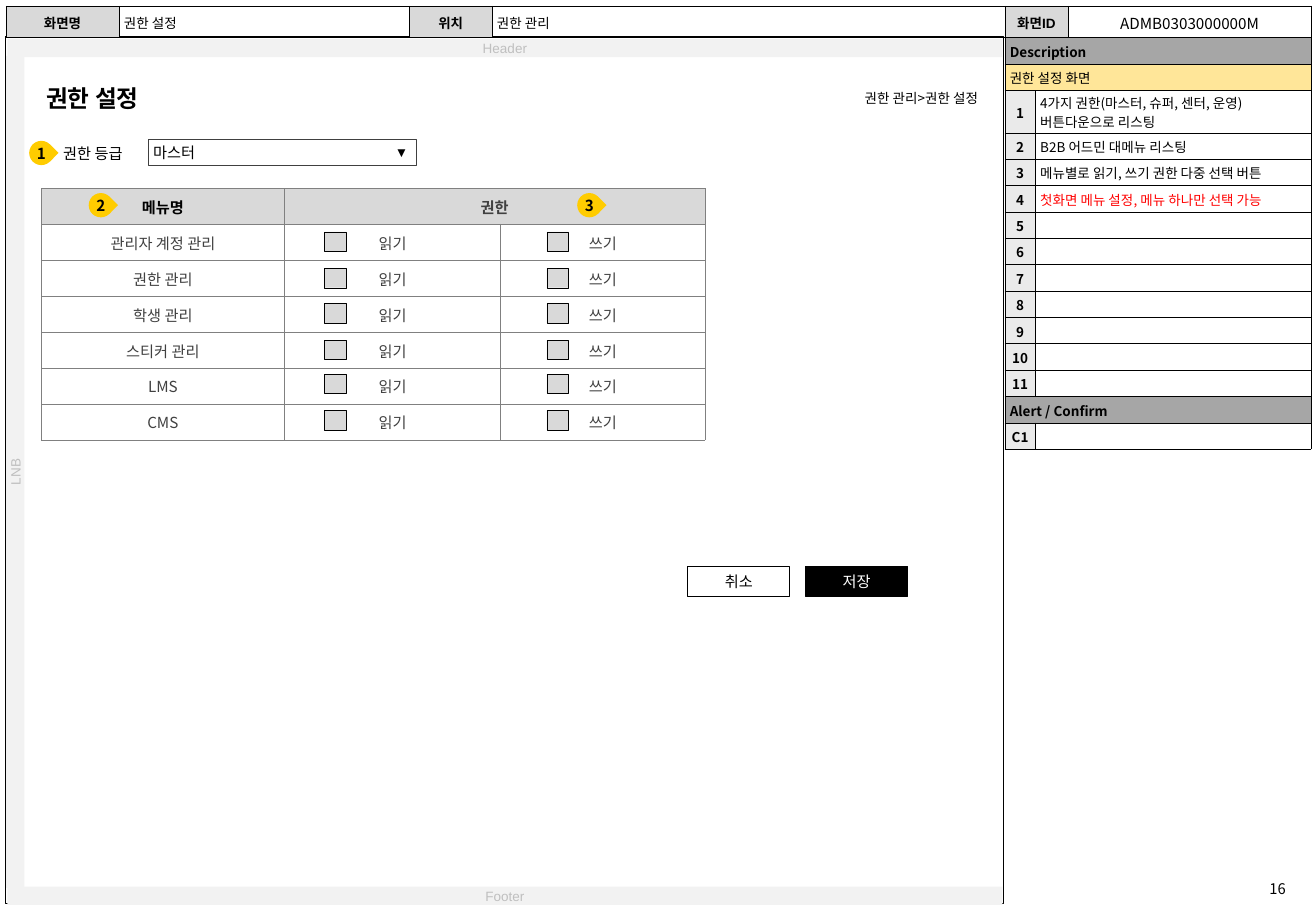
"""Builds the permission settings screen specification slide."""
from lxml.etree import SubElement
from pptx import Presentation
from pptx.dml.color import RGBColor as RGB
from pptx.enum.shapes import MSO_SHAPE as SHAPE
from pptx.enum.text import MSO_ANCHOR as ANCHOR, PP_ALIGN as ALIGN
from pptx.oxml import parse_xml
from pptx.oxml.ns import nsdecls, qn
from pptx.util import Pt

PX = 9144
NOTO, ARIAL = "Noto Sans CJK KR", "Arial"
LEFT, CENTER, RIGHT = ALIGN.LEFT, ALIGN.CENTER, ALIGN.RIGHT
COLORS = {
    "black": "000000", "white": "FFFFFF", "frame": "F2F2F2", "frame_text": "BFBFBF",
    "label": "D9D9D9", "section": "A6A6A6", "number": "EAEAEA", "summary": "FFE699",
    "dark": "404040", "grid": "808080", "badge": "FFCC00", "red": "FF0000",
}


def write(holder, text, size, font=NOTO, color="black", bold=False, align=LEFT):
    para = holder.text_frame.paragraphs[0]
    para.alignment = align
    if not text:
        SubElement(para._p, qn("a:endParaRPr"), sz=str(size * 100))
        return
    span = para.add_run()
    span.text = text
    span.font.size, span.font.bold, span.font.name = Pt(size), bold, font
    span.font.color.rgb = RGB.from_string(COLORS[color])
    SubElement(span._r.get_or_add_rPr(), qn("a:ea"), typeface=NOTO)


def add_box(shapes, place, fill=None, line=None, width=0.25, kind=SHAPE.RECTANGLE, inset=4):
    place = [value * PX for value in place]
    if fill or line:
        box = shapes.add_shape(kind, *place)
        box.shadow.inherit = False
        if fill:
            box.fill.solid()
            box.fill.fore_color.rgb = RGB.from_string(COLORS[fill])
        else:
            box.fill.background()
        if line:
            box.line.color.rgb = RGB.from_string(COLORS[line])
            box.line.width = Pt(width)
        else:
            box.line.fill.background()
    else:
        box = shapes.add_textbox(*place)
    frame = box.text_frame
    frame.word_wrap, frame.vertical_anchor = True, ANCHOR.MIDDLE
    frame.margin_left = frame.margin_right = inset * PX
    frame.margin_top = frame.margin_bottom = 0
    return box


deck = Presentation()
deck.slide_width, deck.slide_height = 1083 * PX, 750 * PX
page = deck.slides.add_slide(deck.slide_layouts[6])
shapes = page.shapes

add_box(shapes, (4, 30, 822, 714), line="black")
write(add_box(shapes, (1023, 719, 57, 26)), "16", 8.7, align=CENTER)
for name, place, turn in [
    ("Footer", (6, 730, 819, 15), 0),
    ("Header", (6, 32, 819, 15), 0),
    ("LNB", (-330, 381, 685, 15), 270),
]:
    band = add_box(shapes, place, "frame", inset=0)
    band.rotation = turn
    write(band, name, 8, ARIAL, "frame_text", align=CENTER)

title_row = []
for label, value in [("화면명", "권한 설정"), ("위치", "권한 관리")]:
    title_row.append((label, 8, ARIAL, "black", True, CENTER, "label"))
    title_row.append((value, 8, ARIAL, "black", False, LEFT, None))
title_row.append(("화면ID", 8, ARIAL, "black", True, CENTER, "label"))
title_row.append(("ADMB0303000000M", 9, NOTO, "black", False, CENTER, None))

menus = ["관리자 계정 관리", "권한 관리", "학생 관리", "스티커 관리", "LMS", "CMS"]
permission_rows = [[
    ("메뉴명", 9, NOTO, "black", True, CENTER, "label"),
    ("권한", 9, ARIAL, "dark", True, CENTER, "label"),
]]
for menu in menus:
    permission_rows.append([
        (text, 9, NOTO, "dark", False, CENTER, None) for text in (menu, "읽기", "쓰기")
    ])

notes = [
    ("4가지 권한(마스터, 슈퍼, 센터, 운영) 버튼다운으로 리스팅", "black"),
    ("B2B 어드민 대메뉴 리스팅", "black"),
    ("메뉴별로 읽기, 쓰기 권한 다중 선택 버튼", "black"),
    ("첫화면 메뉴 설정, 메뉴 하나만 선택 가능", "red"),
] + [("", "black")] * 7
description_rows = [
    [("Description", 8, NOTO, "black", True, LEFT, "section")],
    [("권한 설정 화면", 8, ARIAL, "black", False, LEFT, "summary")],
]
numbered = [(str(number), *note) for number, note in enumerate(notes, 1)]
for number, note, color in numbered + [("C1", "", "black")]:
    if number == "C1":
        description_rows.append([("Alert / Confirm", 8, NOTO, "black", True, LEFT, "section")])
    description_rows.append([
        (number, 8, NOTO, "black", True, CENTER, "number"),
        (note, 8, NOTO, color, False, LEFT, "white"),
    ])
line_height = 304 / 14

for left, top, widths, heights, border, rows in [
    (5, 5, [93, 239, 68, 422, 52, 200], [26], "black", [title_row]),
    (34, 155, [200, 178, 168], [207 / 7] * 7, "grid", permission_rows),
    (827, 31, [25, 227], [line_height] * 2 + [35] + [line_height] * 12, "black", description_rows),
]:
    table = shapes.add_table(
        len(heights), len(widths), left * PX, top * PX,
        sum(widths) * PX, round(sum(heights) * PX),
    ).table
    table.first_row = table.horz_banding = False
    for column, width in zip(table.columns, widths):
        column.width = width * PX
    for row_index, (row, height) in enumerate(zip(rows, heights)):
        table.rows[row_index].height = round(height * PX)
        if len(row) < len(widths):
            merge_start = table.cell(row_index, len(row) - 1)
            merge_start.merge(table.cell(row_index, len(widths) - 1))
        for column_index in range(len(widths)):
            cell = table.cell(row_index, column_index)
            cell.vertical_anchor = ANCHOR.MIDDLE
            cell.margin_left = cell.margin_right = 4 * PX
            cell.margin_top, cell.margin_bottom = PX, 0
            cell.fill.background()
            if column_index < len(row):
                *text_style, fill = row[column_index]
                write(cell, *text_style)
                if fill:
                    cell.fill.solid()
                    cell.fill.fore_color.rgb = RGB.from_string(COLORS[fill])
            else:
                write(cell, "", 8)
            for index, side in enumerate("LRTB"):
                cell._tc.get_or_add_tcPr().insert(index, parse_xml(
                    f'<a:ln{side} {nsdecls("a")} w="3175"><a:solidFill>'
                    f'<a:srgbClr val="{COLORS[border]}"/></a:solidFill></a:ln{side}>'
                ))

write(add_box(shapes, (34, 65, 110, 32)), "권한 설정", 14, bold=True)
write(add_box(shapes, (576, 70, 233, 21)), "권한 관리>권한 설정", 8, align=RIGHT)
write(add_box(shapes, (122, 115, 221, 21), "white", "dark", 0.5), "마스터", 9, ARIAL)
write(add_box(shapes, (321, 115, 27, 21)), "▼", 8, ARIAL)
write(add_box(shapes, (48, 115, 74, 23)), "권한 등급", 9, ARIAL)

for left in (267, 450):
    for top in (191, 221, 250, 280, 308, 338):
        add_box(shapes, (left, top, 18, 16), "label", "black")

for text, left, fill, color in [("저장", 663, "black", "white"), ("취소", 566, "white", "black")]:
    button = add_box(shapes, (left, 466, 84, 25), fill, "black", 0.5)
    write(button, text, 9, color=color, align=CENTER)

for number, left, top in [("1", 24, 116), ("2", 73, 159), ("3", 475, 159)]:
    badge = shapes.add_group_shape().shapes
    drop = add_box(badge, (left, top, 20, 20), "badge", kind=SHAPE.TEAR)
    drop.rotation = 45
    label = add_box(badge, (left - 4, top - 2, 28, 25), inset=0)
    write(label, number, 9, bold=True, align=CENTER)

deck.save("out.pptx")
